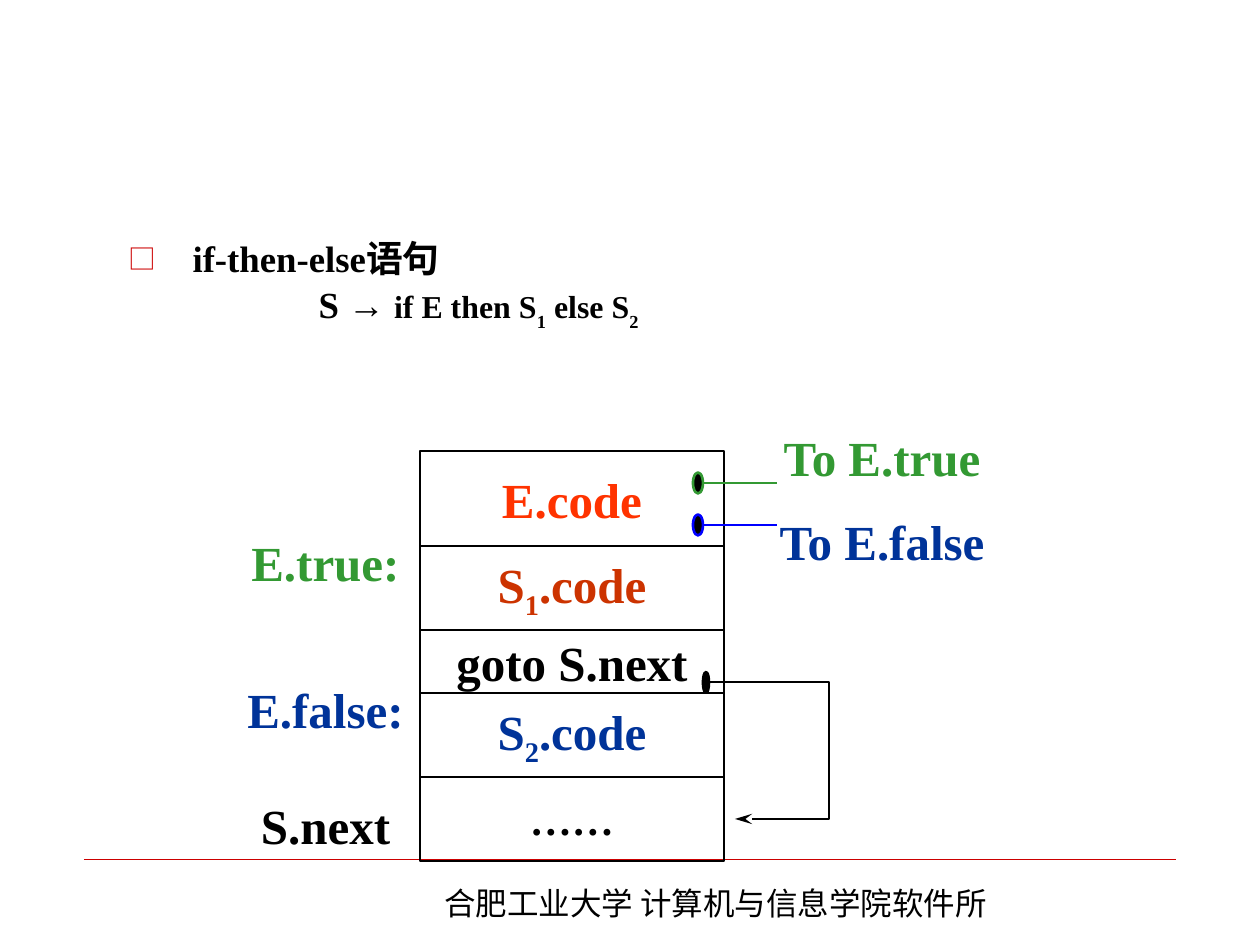
"""Build the slide that shows the code layout of an if-then-else statement."""
from lxml.etree import SubElement
from pptx import Presentation
from pptx.dml.color import RGBColor
from pptx.enum.shapes import MSO_CONNECTOR, MSO_SHAPE
from pptx.enum.text import MSO_ANCHOR, MSO_AUTO_SIZE, PP_ALIGN
from pptx.oxml.ns import qn
from pptx.util import Pt

PIXEL = 914400 // 126
SERIF, CHINESE = "Times New Roman", "Noto Sans CJK SC"
COLORS = {"black": "000000", "green": "339933", "navy": "003399", "blue": "0000FF",
          "orange": "FF3300", "rust": "CC3300", "red": "CC0000"}

FOOTER = "合肥工业大学 计算机与信息学院软件所"
HEADING = [("if-then-else语句", 21, 0)]
GRAMMAR = [("S → ", 21, 0), ("if E then S", 18.2, 0), ("1", 18.2, -30),
           (" else S", 18.2, 0), ("2", 18.2, -30)]

CODE_LEFT, CODE_TOP, CODE_WIDTH = 420, 451, 304
CODE_ROWS = [
    (95, "orange", [("E.code", 28, 0)]),
    (84, "rust", [("S", 28, 0), ("1", 28, -25), (".code", 28, 0)]),
    (63, "black", [("goto S.next", 28, 0)]),
    (84, "navy", [("S", 28, 0), ("2", 28, -25), (".code", 28, 0)]),
    (84, "black", [("……", 24, 0)]),
]
LABEL_HEIGHT = 74
LABELS = [
    (762, 420, 240, "green", "To E.true"),
    (762, 504, 240, "navy", "To E.false"),
    (231, 525, 189, "green", "E.true:"),
    (231, 672, 189, "navy", "E.false:"),
    (231, 788, 189, "black", "S.next"),
]
EXITS = [(483, "green"), (525, "blue")]
JUMP = [(709, 682), (829, 682), (829, 819), (735, 819)]


def emu(*pixels):
    return [round(value * PIXEL) for value in pixels]


def color(name):
    return RGBColor.from_string(COLORS[name])


def style_line(shape, name, width=1.5):
    shape.line.color.rgb = color(name)
    shape.line.width = Pt(width)


def write(paragraph, runs, name, font=SERIF, bold=True):
    for text, size, baseline in runs:
        run = paragraph.add_run()
        run.text = text
        run.font.name, run.font.size, run.font.bold = font, Pt(size), bold
        run.font.color.rgb = color(name)
        properties = run.font._element
        SubElement(properties, qn("a:ea")).set("typeface", CHINESE)
        if baseline:
            properties.set("baseline", str(baseline * 1000))


def write_centered(shape, runs, name):
    frame = shape.text_frame
    frame.word_wrap = False
    frame.vertical_anchor = MSO_ANCHOR.MIDDLE
    frame.paragraphs[0].alignment = PP_ALIGN.CENTER
    write(frame.paragraphs[0], runs, name)


def add_line(start, end, name, width=1.5):
    line = slide.shapes.add_connector(MSO_CONNECTOR.STRAIGHT, *emu(*start, *end))
    style_line(line, name, width)
    SubElement(line._element.spPr, qn("a:effectLst"))


def add_preset(kind, box, name, fill=None):
    shape = slide.shapes.add_shape(kind, *emu(*box))
    shape.shadow.inherit = False
    style_line(shape, name)
    if fill:
        shape.fill.solid()
        shape.fill.fore_color.rgb = color(fill)
    else:
        shape.fill.background()
    return shape


def indent(paragraph, left, hanging, line_spacing, space_before):
    properties = paragraph._p.get_or_add_pPr()
    properties.set("marL", str(left * PIXEL))
    properties.set("indent", str(-hanging * PIXEL))
    paragraph.line_spacing = line_spacing
    paragraph.space_before = Pt(space_before)
    return properties


presentation = Presentation()
presentation.slide_width, presentation.slide_height = emu(1260, 945)
slide = presentation.slides.add_slide(presentation.slide_layouts[1])
title, body = slide.placeholders
title._element.getparent().remove(title._element)

add_line((84, 859), (1176, 859), "red", 0.26)
footer = slide.shapes.add_textbox(*emu(432, 878, 635, 50))
footer.text_frame.word_wrap = True
footer.text_frame.paragraphs[0].space_before = Pt(11.2)
write(footer.text_frame.paragraphs[0], [(FOOTER, 18, 0)], "black", CHINESE, False)

body.left, body.top, body.width, body.height = emu(116, 242, 1081, 95)
body.text_frame.auto_size = MSO_AUTO_SIZE.NONE
heading = body.text_frame.paragraphs[0]
bullet = indent(heading, 64, 64, 0.7, 7.5)
SubElement(SubElement(bullet, qn("a:buClr")), qn("a:srgbClr")).set("val", COLORS["red"])
SubElement(bullet, qn("a:buSzPct")).set("val", "75000")
SubElement(bullet, qn("a:buFont")).set("typeface", CHINESE)
SubElement(bullet, qn("a:buChar")).set("char", "□")
write(heading, HEADING, "black")
grammar = body.text_frame.add_paragraph()
SubElement(indent(grammar, 190, 0, 0.7, 6.5), qn("a:buNone"))
write(grammar, GRAMMAR, "black")

top = CODE_TOP
for height, name, runs in CODE_ROWS:
    row = add_preset(MSO_SHAPE.RECTANGLE, (CODE_LEFT, top, CODE_WIDTH, height), "black")
    write_centered(row, runs, name)
    top += height

for left, top, width, name, text in LABELS:
    label = slide.shapes.add_textbox(*emu(left, top, width, LABEL_HEIGHT))
    write_centered(label, [(text, 28, 0)], name)

for middle, name in EXITS:
    add_line((703, middle), (777, middle), name)
    add_preset(MSO_SHAPE.OVAL, (693, middle - 10.5, 10, 21), name, "black")

builder = slide.shapes.build_freeform(*JUMP[0], scale=PIXEL)
builder.add_line_segments(JUMP[1:], close=False)
jump = builder.convert_to_shape()
jump.shadow.inherit = False
jump.fill.background()
style_line(jump, "black")
arrowhead = SubElement(jump.line._get_or_add_ln(), qn("a:tailEnd"))
arrowhead.set("type", "stealth")
arrowhead.set("len", "lg")
add_preset(MSO_SHAPE.OVAL, (703, 672, 6, 21), "black", "black")

presentation.save("out.pptx")
